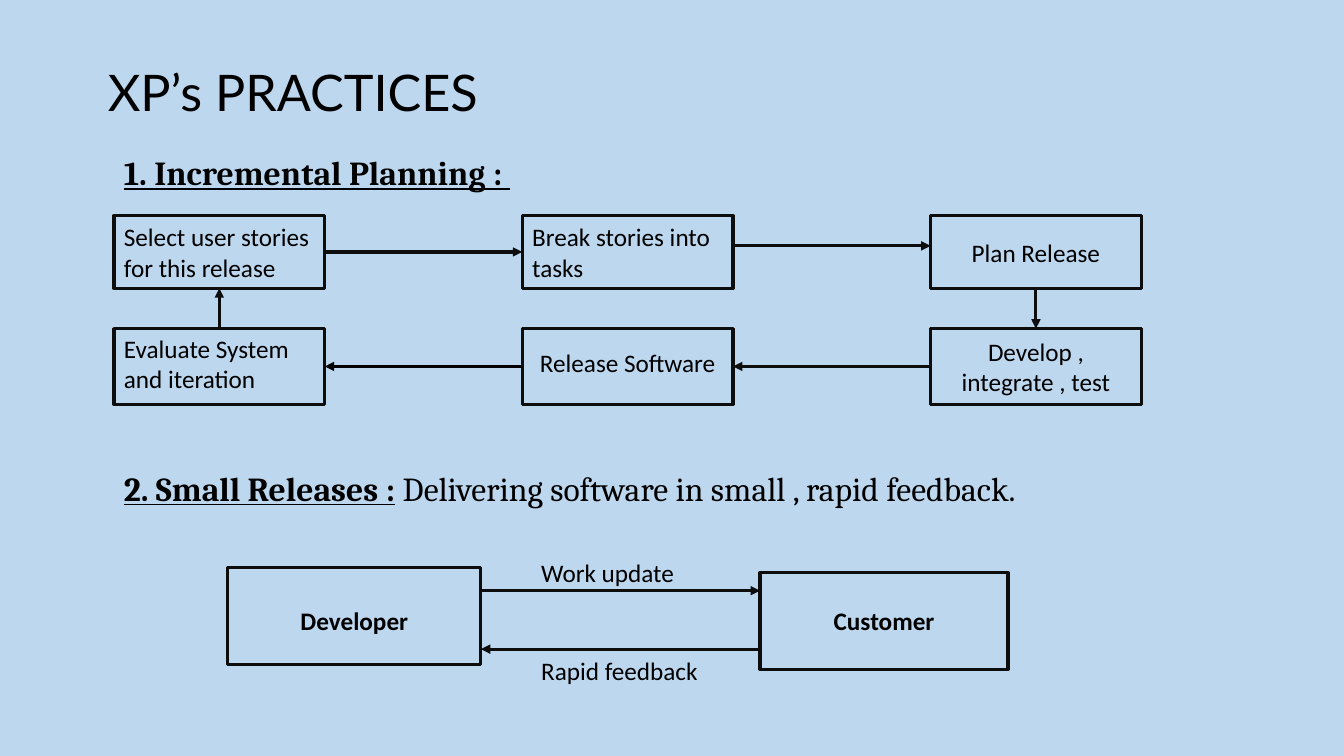
from lxml import etree
from pptx import Presentation
from pptx import util as u
from pptx.dml.color import RGBColor
from pptx.enum import shapes, text
from pptx.oxml import ns

SKY = RGBColor(0xBD, 0xD7, 0xEE)
INK = RGBColor(0x0D, 0x0D, 0x0D)
BLACK = RGBColor(0, 0, 0)
LEFT, CENTER = text.PP_ALIGN.LEFT, text.PP_ALIGN.CENTER

# Shares of the slide in percent: x of its width, y of its height
COLS = [8.48 + 30.38 * i for i in range(3)]
BOX_W = 15.68
TOP_Y, TOP_H = 28.53, 9.6
LOW_Y, LOW_H = 43.47, 10


class Board:
    """One slide, its style, and lengths given as percent of its size."""

    body, heading, title = ("Calibri", 18), ("Cambria", 24), ("Lato", 36)
    stroke = u.Pt(2.25)

    def __init__(self, prs):
        self.w, self.h = prs.slide_width, prs.slide_height
        self.slide = prs.slides.add_slide(prs.slide_layouts[6])
        fill = self.slide.background.fill
        fill.solid()
        fill.fore_color.rgb = SKY

    def at(self, *shares):
        """Turn alternating x and y shares into slide units."""
        return [int(v * (self.h if i % 2 else self.w) / 100)
                for i, v in enumerate(shares)]

    def style(self, run, font, bold=False, underline=False):
        run.font.name, size = font
        run.font.size = u.Pt(size)
        run.font.color.rgb = BLACK
        run.font.bold, run.font.underline = bold, underline

    def label(self, x, y, w, h, runs):
        """Text box; each run is (words, font, marked as bold underline)."""
        tf = self.slide.shapes.add_textbox(*self.at(x, y, w, h)).text_frame
        tf.word_wrap = True
        tf.auto_size = text.MSO_AUTO_SIZE.SHAPE_TO_FIT_TEXT
        for words, font, marked in runs:
            r = tf.paragraphs[0].add_run()
            r.text = words
            self.style(r, font, marked, marked)

    def box(self, x, y, w, h, words, align=CENTER, bold=False, lift=0):
        """Outlined box; lift raises its text from the middle, in points."""
        sp = self.slide.shapes.add_shape(
            shapes.MSO_SHAPE.RECTANGLE, *self.at(x, y, w, h))
        sp.shadow.inherit = False
        sp.fill.background()
        sp.line.color.rgb, sp.line.width = INK, self.stroke
        tf = sp.text_frame
        tf.word_wrap = True
        tf.vertical_anchor = text.MSO_ANCHOR.MIDDLE
        tf.margin_top = u.Pt(3.6 + max(0, -2 * lift))
        tf.margin_bottom = u.Pt(3.6 + max(0, 2 * lift))
        tf.text = words
        p = tf.paragraphs[0]
        p.alignment = align
        self.style(p.runs[0], self.body, bold)

    def arrow(self, x1, y1, x2, y2, color=INK):
        line = self.slide.shapes.add_connector(
            shapes.MSO_CONNECTOR.STRAIGHT, *self.at(x1, y1, x2, y2))
        line.line.color.rgb, line.line.width = color, self.stroke
        etree.SubElement(line.line._get_or_add_ln(), ns.qn("a:tailEnd"),
                         type="triangle")
        etree.SubElement(line._element.spPr, ns.qn("a:effectLst"))


def draw_planning(board):
    board.label(8.48, 19.47, 87.53, 6.67,
                [("1. Incremental Planning : ", board.heading, True)])
    top = [("Select user stories for this release", LEFT),
           ("Break stories into tasks", LEFT), ("Plan Release", CENTER)]
    low = [("Evaluate System and iteration", LEFT, 2.2),
           ("Release Software", CENTER, 2.5),
           ("Develop , integrate , test", CENTER, 0)]
    for x, (words, align) in zip(COLS, top):
        board.box(x, TOP_Y, BOX_W, TOP_H, words, align)
    for x, (words, align, lift) in zip(COLS, low):
        board.box(x, LOW_Y, BOX_W, LOW_H, words, align, lift=lift)

    low_mid = LOW_Y + LOW_H / 2
    gaps = zip(COLS, COLS[1:], (33.33, 32.53), (BLACK, INK))
    for x, following, top_mid, color in gaps:
        board.arrow(x + BOX_W, top_mid, following, top_mid)
        board.arrow(following, low_mid, x + BOX_W, low_mid, color)
    first, last = COLS[0] + BOX_W / 2, COLS[2] + BOX_W / 2
    board.arrow(last, TOP_Y + TOP_H, last, LOW_Y)
    board.arrow(first, LOW_Y, first, TOP_Y + TOP_H)


def draw_releases(board):
    board.label(8.48, 61.2, 80.63, 6.67, [
        ("2. Small Releases :", board.heading, True),
        (" ", ("Calibri", 24), False),
        ("Delivering software in small , rapid feedback.",
         board.heading, False)])
    dev_end, customer = 35.78, 56.55
    board.box(16.95, 75.07, dev_end - 16.95, 12.8, "Developer",
              bold=True, lift=-2.9)
    board.box(customer, 75.73, 18.45, 12.8, "Customer", bold=True)
    board.arrow(dev_end, 78.13, customer, 78.13)
    board.arrow(customer, 85.87, dev_end, 85.87)
    for y, words in ((73.07, "Work update"), (86, "Rapid feedback")):
        board.label(39.53, y, 15, 5.33, [(words, board.body, False)])


def main():
    prs = Presentation()
    prs.slide_width, prs.slide_height = u.Inches(13.33), u.Inches(7.5)
    board = Board(prs)
    board.label(7.28, 7.47, 88.65, 9.47,
                [("XP’s PRACTICES", board.title, False)])
    draw_planning(board)
    draw_releases(board)
    prs.save("out.pptx")


if __name__ == "__main__":
    main()
